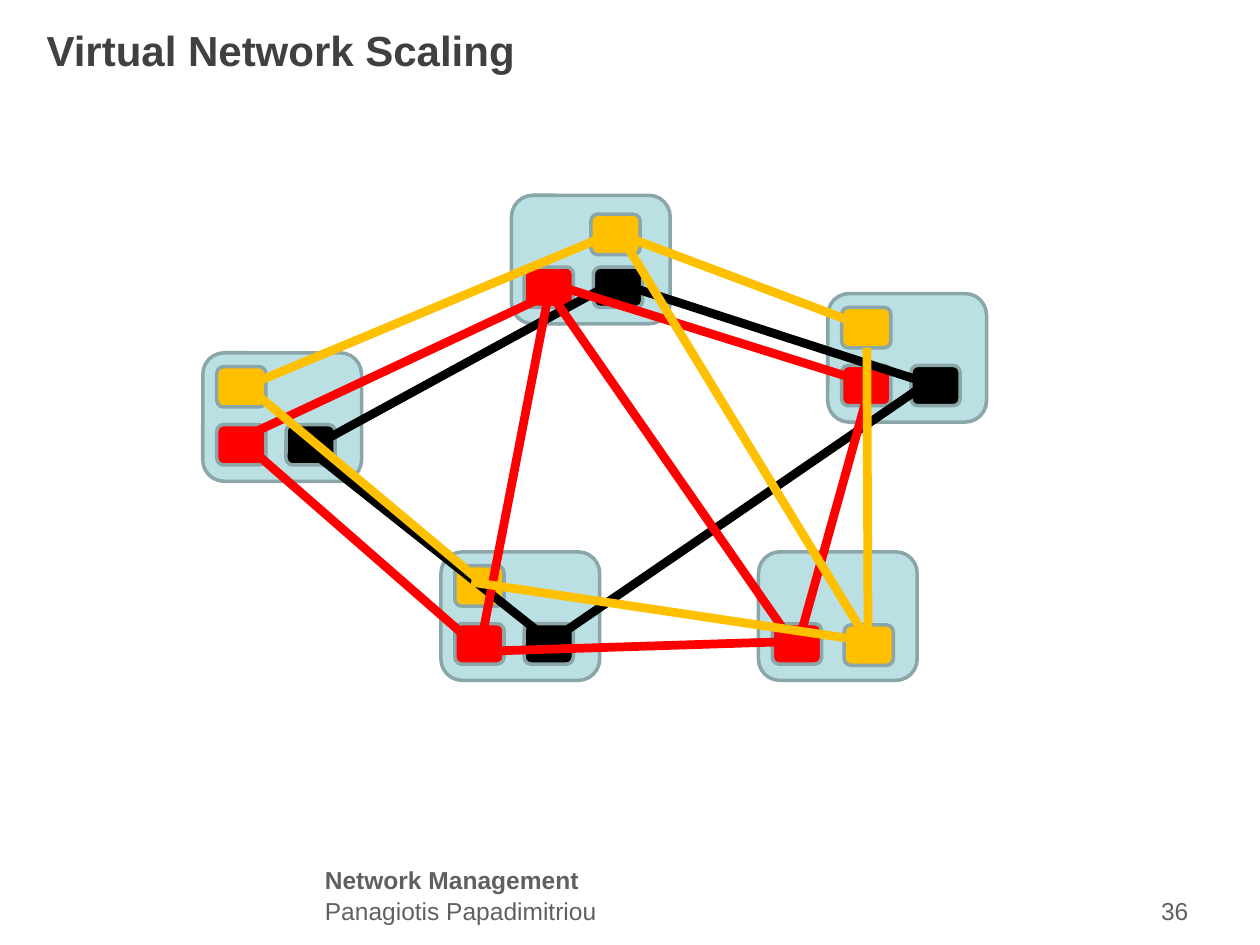
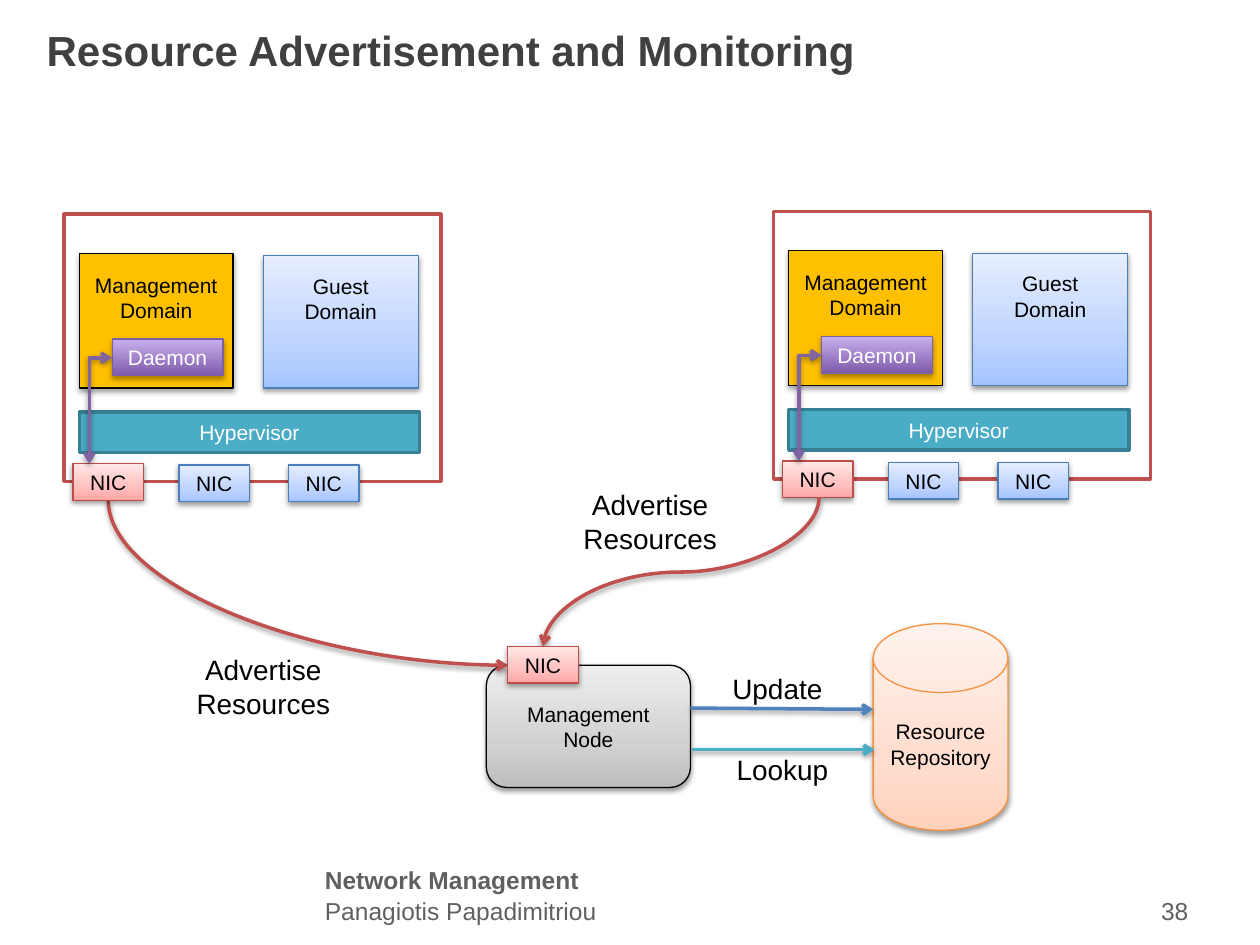
"""Builds two slides on virtual network scaling and resource monitoring."""
from lxml.etree import SubElement as Sub
from pptx import Presentation
from pptx.dml.color import RGBColor as Rgb
from pptx.enum.shapes import MSO_CONNECTOR as Conn, MSO_SHAPE as Form
from pptx.enum.text import MSO_ANCHOR as Anchor, PP_ALIGN as Align
from pptx.oxml.ns import qn
from pptx.util import Inches, Pt

HEX = {
    "title": "404040", "foot": "606060", "black": "000000", "white": "FFFFFF",
    "host": "BBE0E3", "edge": "8AA6A8", "red": "FF0000", "gold": "FFC000",
    "brick": "C0504D", "teal": "4BACC6", "pine": "377F92", "plum": "8064A2",
    "blue": "4F81BD", "navy": "4B7EBC", "rust": "BF4C48", "grape": "7D60A0",
    "amber": "F69240",
}
FADES = {
    "sky": [(0, "A4C4FF"), (35, "BFD4FF"), (100, "E6EEFF")],
    "pink": [(0, "FFA6A5"), (35, "FFC0BF"), (100, "FFE7E7")],
    "lilac": [(0, "7F5BAB"), (100, "C8B0ED")],
    "gray": [(0, "BDBDBD"), (35, "D1D1D1"), (100, "EEEEEE")],
    "peach": [(0, "FFD2BD"), (35, "FFDED0"), (100, "FFF2ED")],
}
SOFT, FIRM = (38, 1.6), (35, 1.8)
FOOT = [("Network Management", 6.82, True), ("Panagiotis Papadimitriou", 7.06, False)]

HOST, NODE = (1.26, 1.02), (0.39, 0.32)
UP, LOW, SIDE = (0.11, 0.11), (0.11, 0.57), (0.66, 0.57)
HOSTS = [
    (4.06, 1.55, {"red": (0.1, 0.57), "black": (0.65, 0.57), "gold": (0.63, 0.15)}),
    (6.57, 2.33, {"red": LOW, "black": SIDE, "gold": UP}),
    (3.5, 4.38, {"red": LOW, "black": SIDE, "gold": UP}),
    (6.02, 4.38, {"red": LOW, "gold": (0.68, 0.58)}),
    (1.61, 2.8, {"red": LOW, "black": SIDE, "gold": UP}),
]
WIRES = [
    ("red", [(1.93, 3.51, 3.74, 5.09)]),
    ("black", [(2.48, 3.59, 4.37, 5.09), (4.92, 2.25, 7.36, 3.04),
               (4.37, 5.09, 7.36, 3.04), (2.4, 3.59, 5, 2.17)]),
    ("red", [(4.37, 2.25, 3.82, 5.09), (4.37, 2.33, 6.34, 5.17),
             (3.82, 5.17, 6.34, 5.09), (4.37, 2.33, 1.85, 3.51),
             (4.37, 2.25, 6.89, 3.04), (6.34, 5.09, 6.89, 3.12)]),
    ("gold", [(1.92, 3.08, 4.84, 1.86), (1.93, 3.04, 3.82, 4.62),
              (6.89, 5.09, 3.74, 4.62), (6.89, 5.09, 4.92, 1.86),
              (6.89, 5.17, 6.88, 2.76), (4.92, 1.86, 6.81, 2.57)]),
]

NIC = (0.56, 0.29)
SERVERS = [(0.51, 1.7, "Management\nDomain"), (6.14, 1.68, "Management Domain")]
LABELS = [
    ("Advertise\nResources", (1.37, 5.13, 1.44, 0.64)),
    ("Advertise\nResources", (4.44, 3.82, 1.44, 0.64)),
    ("Update", (5.45, 5.28, 1.44, 0.37)),
    ("Lookup", (5.49, 5.92, 1.44, 0.37)),
]


def tint(name):
    return Rgb.from_string(HEX[name])


def write(shape, text, size, color, align=Align.CENTER, bold=False):
    frame = shape.text_frame
    frame.word_wrap = True
    frame.text = text
    for para in frame.paragraphs:
        para.alignment = align
        font = para.font
        font.name, font.size, font.bold = "Arial", Pt(size), bold
        font.color.rgb = tint(color)
    return frame


def label(slide, text, at, size, color, align=Align.CENTER, bold=False):
    box = slide.shapes.add_textbox(*map(Inches, at))
    write(box, text, size, color, align, bold)


def shade(props, glow):
    alpha, gap = glow
    drop = Sub(props.find(qn("a:effectLst")), qn("a:outerShdw"), blurRad=str(Pt(3.1)),
               dist=str(Pt(gap)), dir="5400000", rotWithShape="0")
    black = Sub(drop, qn("a:srgbClr"), val=HEX["black"])
    Sub(black, qn("a:alpha"), val=str(alpha * 1000))


def block(room, at, fill, line, width=0.75, text="", ink="black", glow=None,
          form=Form.RECTANGLE, lift=0):
    shape = room.add_shape(form, *map(Inches, at))
    props = shape._element.spPr
    if fill in FADES:
        shape.fill.gradient()
        shape.fill.gradient_angle = 90
        stops = props.find(".//" + qn("a:gsLst"))
        stops[:] = []
        for pos, color in FADES[fill]:
            stop = Sub(stops, qn("a:gs"), pos=str(pos * 1000))
            Sub(stop, qn("a:srgbClr"), val=color)
    else:
        shape.fill.solid()
        shape.fill.fore_color.rgb = tint(fill)
    shape.line.color.rgb = tint(line)
    shape.line.width = Pt(width)
    shape.shadow.inherit = False
    if glow:
        shade(props, glow)
    if text:
        frame = write(shape, text, 12, ink)
        frame.vertical_anchor = Anchor.MIDDLE
        frame.margin_bottom = Inches(0.05 + lift)


def link(room, ends, color, width=2, kind=Conn.STRAIGHT, preset=None, turn=0,
         arrows=(), glow=None):
    left, top, right, low = ends
    if turn:
        midx, midy = (left + right) / 2, (top + low) / 2
        sign = 1 if turn == 90 else -1
        dx, dy = sign * (top - midy), sign * (midx - left)
        left, top, right, low = midx + dx, midy + dy, midx - dx, midy - dy
    wire = room.add_connector(kind, *map(Inches, (left, top, right, low)))
    wire.line.color.rgb = tint(color)
    wire.line.width = Pt(width)
    props = wire._element.spPr
    if turn:
        props.find(qn("a:xfrm")).set("rot", str(turn * 60000))
    if preset:
        props.find(qn("a:prstGeom")).set("prst", preset)
    for end in arrows:
        Sub(props.find(qn("a:ln")), qn(f"a:{end}End"), type="arrow")
    Sub(props, qn("a:effectLst"))
    if glow:
        shade(props, glow)


def start(deck, title, number):
    slide = deck.slides.add_slide(deck.slide_layouts[5])
    head = slide.shapes.title
    head.left, head.top, head.width, head.height = map(Inches, (0.27, 0.08, 9, 0.63))
    write(head, title, 24, "title", Align.LEFT, True).vertical_anchor = Anchor.MIDDLE
    for text, top, bold in FOOT:
        label(slide, text, (2.48, top, 4.49, 0.33), 14, "foot", Align.LEFT, bold)
    label(slide, number, (7.2, 7.06, 2.33, 0.31), 14, "foot", Align.RIGHT)
    return slide


def scaling(deck):
    room = start(deck, "Virtual Network Scaling", "36").shapes
    for x, y, nodes in HOSTS:
        block(room, (x, y, *HOST), "host", "edge", 2, form=Form.ROUNDED_RECTANGLE)
        for color, (dx, dy) in nodes.items():
            block(room, (x + dx, y + dy, *NODE), color, "edge", 2,
                  form=Form.ROUNDED_RECTANGLE)
    for color, wires in WIRES:
        for ends in wires:
            link(room, ends, color, 5)


def server(slide, x, y, domain):
    room = slide.shapes.add_group_shape().shapes
    block(room, (x, y, 2.99, 2.12), "white", "brick", 2)
    block(room, (x + 0.12, y + 0.31, 1.22, 1.07), "gold", "black", text=domain,
          glow=FIRM, lift=0.37)
    block(room, (x + 1.58, y + 0.33, 1.23, 1.05), "sky", "navy", text="Guest Domain",
          glow=SOFT, lift=0.37)
    block(room, (x + 0.12, y + 1.57, 2.7, 0.32), "teal", "pine", 2, "Hypervisor", "white")
    block(room, (x + 0.07, y + 1.98, *NIC), "pink", "rust", text="NIC", glow=SOFT)
    block(room, (x + 0.38, y + 0.99, 0.88, 0.29), "lilac", "grape", text="Daemon",
          ink="white", glow=FIRM)
    link(room, (x + 0.38, y + 1.14, x + 0.2, y + 1.98), "plum", kind=Conn.ELBOW,
         preset="bentConnector2", arrows=("head", "tail"), glow=SOFT)
    for dx in (0.91, 1.78):
        block(room, (x + dx, y + 1.99, *NIC), "sky", "navy", text="NIC", glow=SOFT)


def monitor(deck):
    slide = start(deck, "Resource Advertisement and Monitoring", "38")
    room = slide.shapes
    block(room, (3.86, 5.28, 1.62, 0.97), "gray", "black", text="Management\nNode",
          glow=SOFT, form=Form.ROUNDED_RECTANGLE)
    block(room, (6.93, 4.95, 1.07, 1.64), "peach", "amber", text="Resource Repository",
          glow=SOFT, form=Form.FLOWCHART_MAGNETIC_DISK)
    link(room, (0.86, 3.97, 4.03, 5.28), "brick", kind=Conn.CURVE,
         preset="curvedConnector2", turn=270, arrows=("tail",), glow=SOFT)
    for item in SERVERS:
        server(slide, *item)
    link(room, (4.31, 5.13, 6.5, 3.95), "brick", kind=Conn.CURVE, turn=90,
         arrows=("head",), glow=SOFT)
    for color, ends in (("blue", (5.48, 5.62, 6.93, 5.63)),
                        ("teal", (5.49, 5.95, 6.94, 5.95))):
        link(room, ends, color, arrows=("tail",), glow=SOFT)
    for text, at in LABELS:
        label(slide, text, at, 16, "black")
    block(room, (4.03, 5.13, *NIC), "pink", "rust", text="NIC", glow=SOFT)


def main():
    deck = Presentation()
    deck.slide_width, deck.slide_height = Inches(10), Inches(7.5)
    scaling(deck)
    monitor(deck)
    deck.save("out.pptx")


if __name__ == "__main__":
    main()
